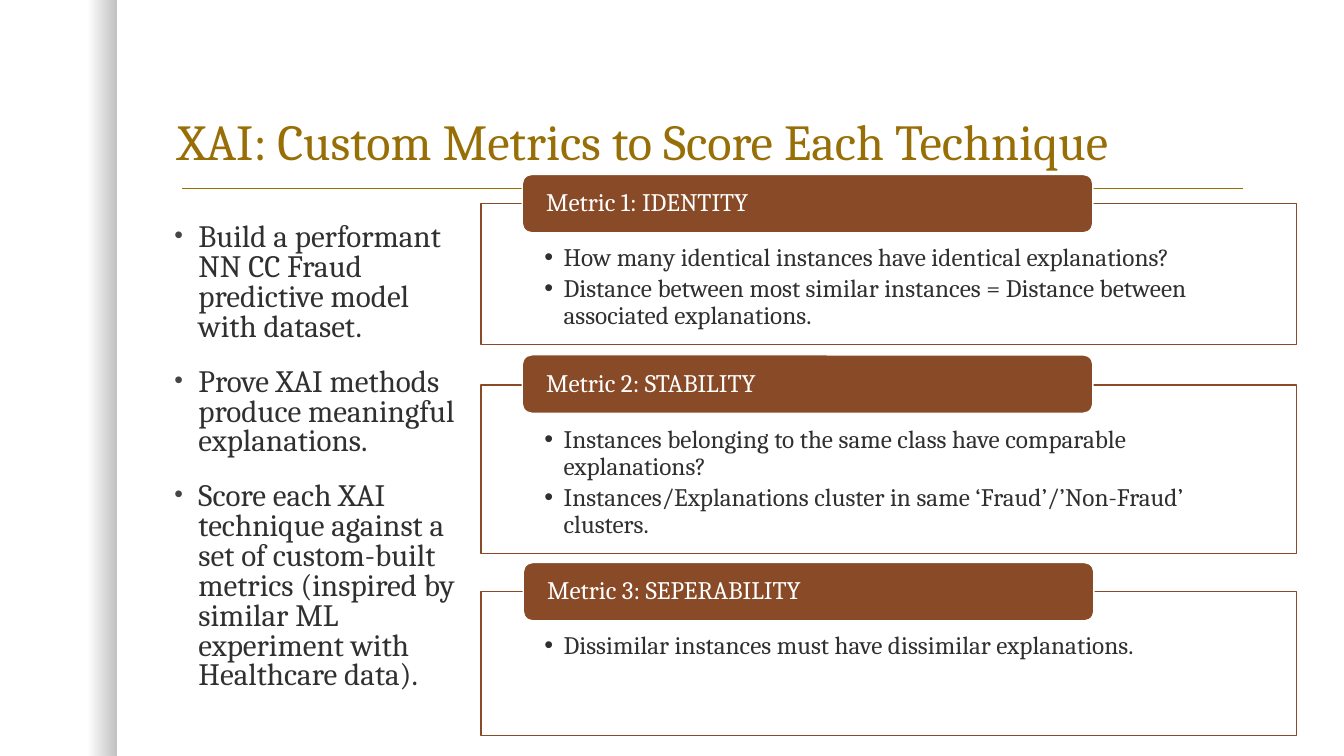
from lxml import etree
from pptx import Presentation
from pptx.dml.color import RGBColor
from pptx.enum.shapes import MSO_CONNECTOR, MSO_SHAPE
from pptx.enum.text import MSO_ANCHOR, PP_ALIGN
from pptx.oxml.ns import qn
from pptx.util import Inches, Pt

RECTANGLE = MSO_SHAPE.RECTANGLE
ROUNDED = MSO_SHAPE.ROUNDED_RECTANGLE
STRAIGHT = MSO_CONNECTOR.STRAIGHT
TOP, MIDDLE, BOTTOM = MSO_ANCHOR.TOP, MSO_ANCHOR.MIDDLE, MSO_ANCHOR.BOTTOM
LEFT = PP_ALIGN.LEFT

FONT = "Cambria"
COLORS = {
    "gold": "986F07",
    "brown": "894A27",
    "text": "303030",
    "bullet": "454545",
    "white": "FFFFFF",
    "black": "000000",
}
GOALS = [
    "Build a performant NN CC Fraud predictive model with dataset.",
    "Prove XAI methods produce meaningful explanations.",
    "Score each XAI technique against a set of custom-built metrics "
    "(inspired by similar ML experiment with Healthcare data).",
]
METRICS = [
    ("Metric 1: IDENTITY", 5.18, 1.73, 2.02, 1.4, [
        "How many identical instances have identical explanations?",
        "Distance between most similar instances = Distance between associated explanations.",
    ]),
    ("Metric 2: STABILITY", 5.18, 3.52, 3.82, 1.67, [
        "Instances belonging to the same class have comparable explanations?",
        "Instances/Explanations cluster in same ‘Fraud’/’Non-Fraud’ clusters.",
    ]),
    ("Metric 3: SEPERABILITY", 5.19, 5.58, 5.87, 1.43, [
        "Dissimilar instances must have dissimilar explanations.",
    ]),
]


def rgb(name):
    return RGBColor.from_string(COLORS[name])


def set_alpha(color_element, percent):
    etree.SubElement(color_element, qn("a:alpha"), val=str(percent * 1000))


def add_bullet(paragraph, indent, color, percent):
    properties = paragraph._p.get_or_add_pPr()
    properties.set("marL", str(Inches(indent)))
    properties.set("indent", str(-Inches(indent)))
    bullet_color = etree.SubElement(properties, qn("a:buClr"))
    etree.SubElement(bullet_color, qn("a:srgbClr"), val=COLORS[color])
    etree.SubElement(properties, qn("a:buSzPct"), val=str(percent * 1000))
    etree.SubElement(properties, qn("a:buFont"), typeface="Arial")
    etree.SubElement(properties, qn("a:buChar"), char="•")


def write_text(shape, lines, size, color, insets=(0.1, 0.05, 0.1, 0.05), anchor=TOP,
               spacing=0.9, before=0, after=0, bullet=None):
    frame = shape.text_frame
    frame.word_wrap = True
    frame.vertical_anchor = anchor
    (frame.margin_left, frame.margin_top,
     frame.margin_right, frame.margin_bottom) = map(Inches, insets)
    for index, line in enumerate(lines):
        paragraph = frame.add_paragraph() if index else frame.paragraphs[0]
        paragraph.text = line
        paragraph.alignment = LEFT
        paragraph.line_spacing = spacing
        paragraph.space_before = Pt(before if index else 0)
        paragraph.space_after = Pt(after)
        if bullet:
            add_bullet(paragraph, *bullet)
        paragraph.font.name = FONT
        paragraph.font.size = Pt(size)
        paragraph.font.color.rgb = rgb(color)


def add_text(slide, box, lines, size, color, **options):
    shape = slide.shapes.add_textbox(*map(Inches, box))
    write_text(shape, lines, size, color, **options)


def add_box(slide, kind, box, fill, line):
    shape = slide.shapes.add_shape(kind, *map(Inches, box))
    shape.shadow.inherit = False
    shape.fill.solid()
    shape.fill.fore_color.rgb = rgb(fill)
    shape.line.color.rgb = rgb(line)
    shape.line.width = Pt(1)
    return shape


def add_edge_shade(slide):
    shade = slide.shapes.add_shape(RECTANGLE, 0, 0, Inches(1.16), Inches(7.5))
    shade.shadow.inherit = False
    shade.line.fill.background()
    shade.fill.gradient()
    shade.fill.gradient_angle = 0
    for stop, position in zip(shade.fill.gradient_stops, (0.75, 1)):
        stop.position = position
        stop.color.rgb = rgb("black")
    colors = shade.element.spPr.iter(qn("a:srgbClr"))
    for color, percent in zip(list(colors), (0, 25)):
        set_alpha(color, percent)


def add_rule(slide):
    rule = slide.shapes.add_connector(
        STRAIGHT, Inches(1.81), Inches(1.87), Inches(12.33), Inches(1.87))
    rule.line.color.rgb = rgb("gold")
    rule.line.width = Pt(1)
    etree.SubElement(rule.element.spPr, qn("a:effectLst"))


def add_metric(slide, title, title_left, title_top, panel_top, panel_height, points):
    panel = add_box(slide, RECTANGLE, (4.77, panel_top, 8.09, panel_height), "white", "brown")
    set_alpha(next(panel.element.spPr.iter(qn("a:srgbClr"))), 90)
    write_text(panel, points, 18, "text", insets=(0.63, 0.41, 0.63, 0.14),
               after=2.7, bullet=(0.19, "text", 100))
    header = add_box(slide, ROUNDED, (title_left, title_top, 5.66, 0.58), "brown", "white")
    write_text(header, [title], 18, "white", insets=(0.21, 0, 0.21, 0), anchor=MIDDLE)


def main():
    presentation = Presentation()
    presentation.slide_width = Inches(13.33)
    presentation.slide_height = Inches(7.5)
    slide = presentation.slides.add_slide(presentation.slide_layouts[6])
    add_edge_shade(slide)
    add_rule(slide)
    add_text(slide, (1.66, 0.42, 10.75, 1.33),
             ["XAI: Custom Metrics to Score Each Technique"], 36, "gold", anchor=BOTTOM)
    add_text(slide, (1.63, 2.17, 2.99, 5.12), GOALS, 22.2, "text",
             spacing=0.8, before=18, bullet=(0.24, "bullet", 80))
    for metric in METRICS:
        add_metric(slide, *metric)
    presentation.save("out.pptx")


if __name__ == "__main__":
    main()
